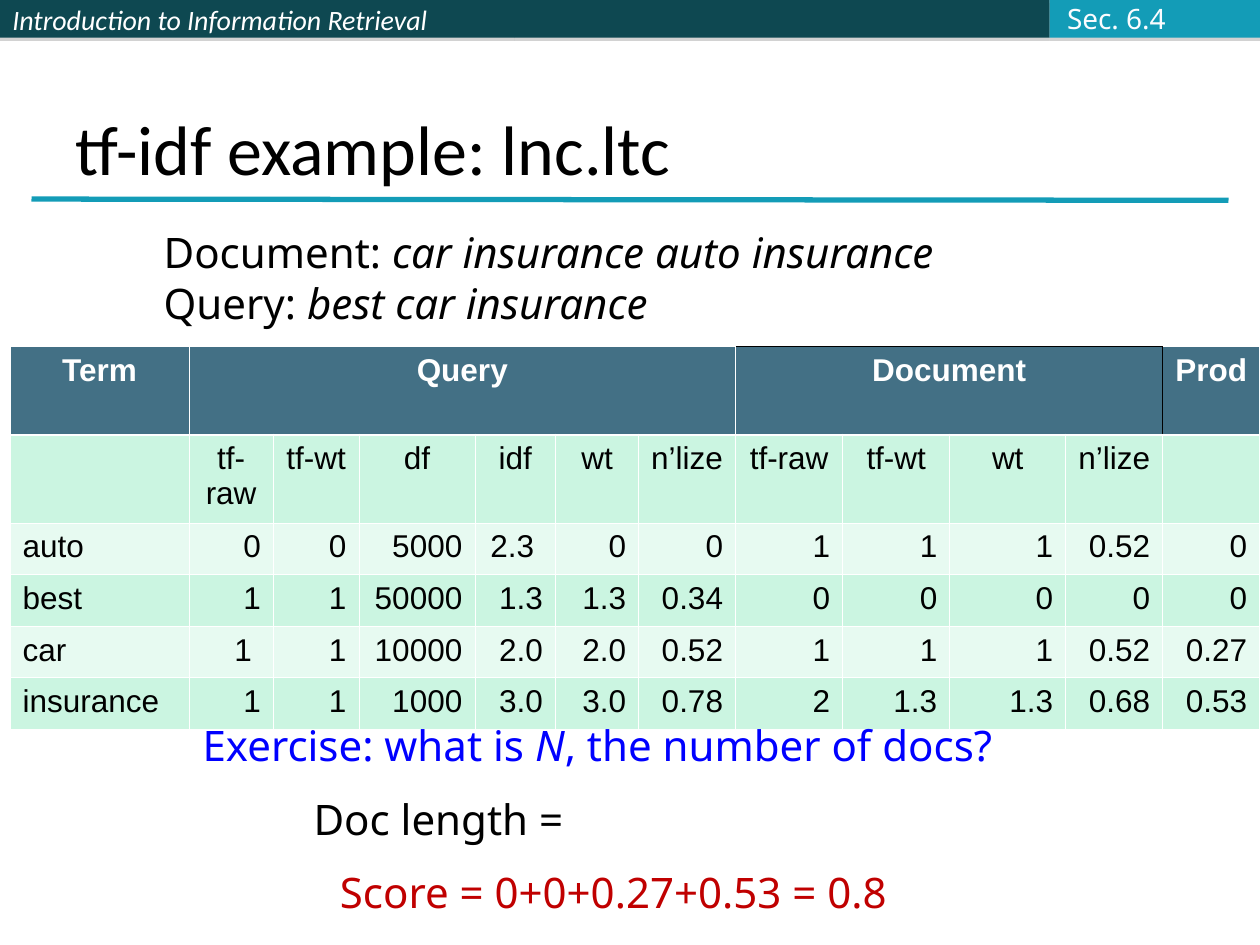
import lxml.etree
import pptx
import pptx.dml.color
import pptx.enum.shapes
import pptx.enum.text
import pptx.oxml
import pptx.oxml.ns
import pptx.util

Inches = pptx.util.Inches
RGB = pptx.dml.color.RGBColor.from_string
ALIGN = pptx.enum.text.PP_ALIGN
ANCHOR = pptx.enum.text.MSO_ANCHOR
NS = pptx.oxml.ns.nsdecls("a")

THEME = {
    "bar": "0E4851", "accent": "139CB7", "shadow": "808080",
    "header": "437085", "bands": ("E7FAF1", "CBF5E1"),
    "white": "FFFFFF", "black": "000000", "section": "FBFCFF",
    "question": "0000FF", "score": "C00000",
    "title_font": "Calibri", "body_font": "Noto Sans", "table_font": "Arial",
    "title_size": 40, "body_size": 24, "table_size": 18, "bar_size": 16,
    "thin": 0.45, "thick": 1.47,
}


def write(frame, text, font="body_font", size="body_size", color="black",
          bold=False, align=ALIGN.LEFT, anchor=ANCHOR.TOP, wrap=False):
    """Fill a text frame; lines split at newlines, _marked_ parts are italic."""
    frame.word_wrap = wrap
    frame.vertical_anchor = anchor
    for index, line in enumerate(text.split("\n")):
        paragraph = frame.paragraphs[0] if index == 0 else frame.add_paragraph()
        paragraph.alignment = align
        for part, words in enumerate(line.split("_")):
            if words:
                run = paragraph.add_run()
                run.text = words
                run.font.name = THEME[font]
                run.font.size = pptx.util.Pt(THEME[size])
                run.font.color.rgb = RGB(THEME[color])
                run.font.bold = bold
                run.font.italic = part % 2 == 1


def set_borders(cell, **sides):
    """Draw cell borders given as side=(colour, width in points)."""
    properties = cell._tc.get_or_add_tcPr()
    for position, side in enumerate("LRTB"):
        color, width = sides[side]
        properties.insert(position, pptx.oxml.parse_xml(
            f'<a:ln{side} {NS} w="{int(pptx.util.Pt(width))}"><a:solidFill>'
            f'<a:srgbClr val="{color}"/></a:solidFill></a:ln{side}>'))


deck = pptx.Presentation()
deck.slide_width, deck.slide_height = Inches(10), Inches(7.5)
slide = deck.slides.add_slide(deck.slide_layouts[6])

# Top bar
for left, width, fill, label in (
        (0, 4.08, "bar", "_Introduction to Information Retrieval_"),
        (4.08, 4.25, "bar", ""), (8.33, 1.67, "accent", "")):
    bar = slide.shapes.add_shape(pptx.enum.shapes.MSO_SHAPE.RECTANGLE,
                                 Inches(left), 0, Inches(width), Inches(0.3))
    bar.fill.solid()
    bar.fill.fore_color.rgb = RGB(THEME[fill])
    bar.line.fill.background()
    bar._element.spPr.append(pptx.oxml.parse_xml(
        f'<a:effectLst {NS}><a:outerShdw dist="{int(pptx.util.Pt(1.8))}" dir="5400000">'
        f'<a:srgbClr val="{THEME["shadow"]}"><a:alpha val="35000"/></a:srgbClr>'
        '</a:outerShdw></a:effectLst>'))
    write(bar.text_frame, label, font="title_font", size="bar_size", color="white",
          anchor=ANCHOR.MIDDLE, wrap=True)

# Rule under the title
rule = slide.shapes.add_connector(pptx.enum.shapes.MSO_CONNECTOR.STRAIGHT,
                                  Inches(0.25), Inches(1.58), Inches(9.75), Inches(1.59))
rule.line.color.rgb = RGB(THEME["accent"])
rule.line.width = pptx.util.Pt(3)
lxml.etree.SubElement(rule._element.spPr, pptx.oxml.ns.qn("a:effectLst"))

# Term weights
widths = (1.42, 0.67, 0.68, 0.92, 0.64, 0.66, 0.77, 0.85, 0.85, 0.92, 0.77, 0.77)
heights = (0.7, 0.7, 0.41, 0.41, 0.41, 0.41)
weights = (
    ("Term", "Query", "", "", "", "", "", "Document", "", "", "", "Prod"),
    ("", "tf-raw", "tf-wt", "df", "idf", "wt", "n’lize",
     "tf-raw", "tf-wt", "wt", "n’lize", ""),
    ("auto", "0", "0", "5000", "2.3 ", "0", "0", "1", "1", "1", "0.52", "0"),
    ("best", "1", "1", "50000", "1.3", "1.3", "0.34", "0", "0", "0", "0", "0"),
    ("car", "1 ", "1", "10000", "2.0", "2.0", "0.52", "1", "1", "1", "0.52", "0.27"),
    ("insurance", "1", "1", "1000", "3.0", "3.0", "0.78", "2", "1.3", "1.3", "0.68", "0.53"),
)
table = slide.shapes.add_table(len(heights), len(widths), Inches(0.08), Inches(2.75),
                               Inches(sum(widths)), Inches(sum(heights))).table
table.first_row = table.horz_banding = False
for column, width in zip(table.columns, widths):
    column.width = Inches(width)
for row, height in zip(table.rows, heights):
    row.height = Inches(height)

white_line = (THEME["white"], THEME["thin"])
black_line = (THEME["black"], THEME["thin"])
heavy_line = (THEME["white"], THEME["thick"])
for r, values in enumerate(weights):
    for c, value in enumerate(values):
        cell = table.cell(r, c)
        header = r == 0
        cell.fill.solid()
        cell.fill.fore_color.rgb = RGB(THEME["header"] if header else THEME["bands"][r % 2])
        align = ALIGN.CENTER if r < 2 else ALIGN.RIGHT if c else ALIGN.LEFT
        write(cell.text_frame, value, font="table_font", size="table_size",
              color="white" if header else "black", bold=header, align=align, wrap=True)
        set_borders(
            cell,
            L=black_line if header and c == 11 else white_line,
            R=black_line if header and 7 <= c <= 10 else white_line,
            T=black_line if header and 7 <= c <= 10 else heavy_line if r == 1 else white_line,
            B=heavy_line if header else white_line)
for first, last in ((1, 6), (7, 10)):
    table.cell(0, first).merge(table.cell(0, last))

# Title and remarks
for left, top, width, height, text, style in (
        (0.5, 0.3, 9, 1.25, "tf-idf example: lnc.ltc",
         dict(font="title_font", size="title_size", anchor=ANCHOR.BOTTOM, wrap=True)),
        (1.2, 1.75, 6.32, 0.9,
         "Document: _car insurance auto insurance_\nQuery: _best car insurance_", {}),
        (1.51, 5.66, 6.48, 0.5, "Exercise: what is _N_, the number of docs?",
         dict(color="question")),
        (2.6, 6.83, 4.54, 0.5, "Score = 0+0+0.27+0.53 = 0.8", dict(color="score")),
        (2.39, 6.25, 2.18, 0.5, "Doc length =", {}),
        (8.37, -0.04, 0.98, 0.37, "Sec. 6.4",
         dict(size="bar_size", color="section", anchor=ANCHOR.MIDDLE))):
    box = slide.shapes.add_textbox(Inches(left), Inches(top), Inches(width), Inches(height))
    write(box.text_frame, text, **style)

deck.save("out.pptx")
